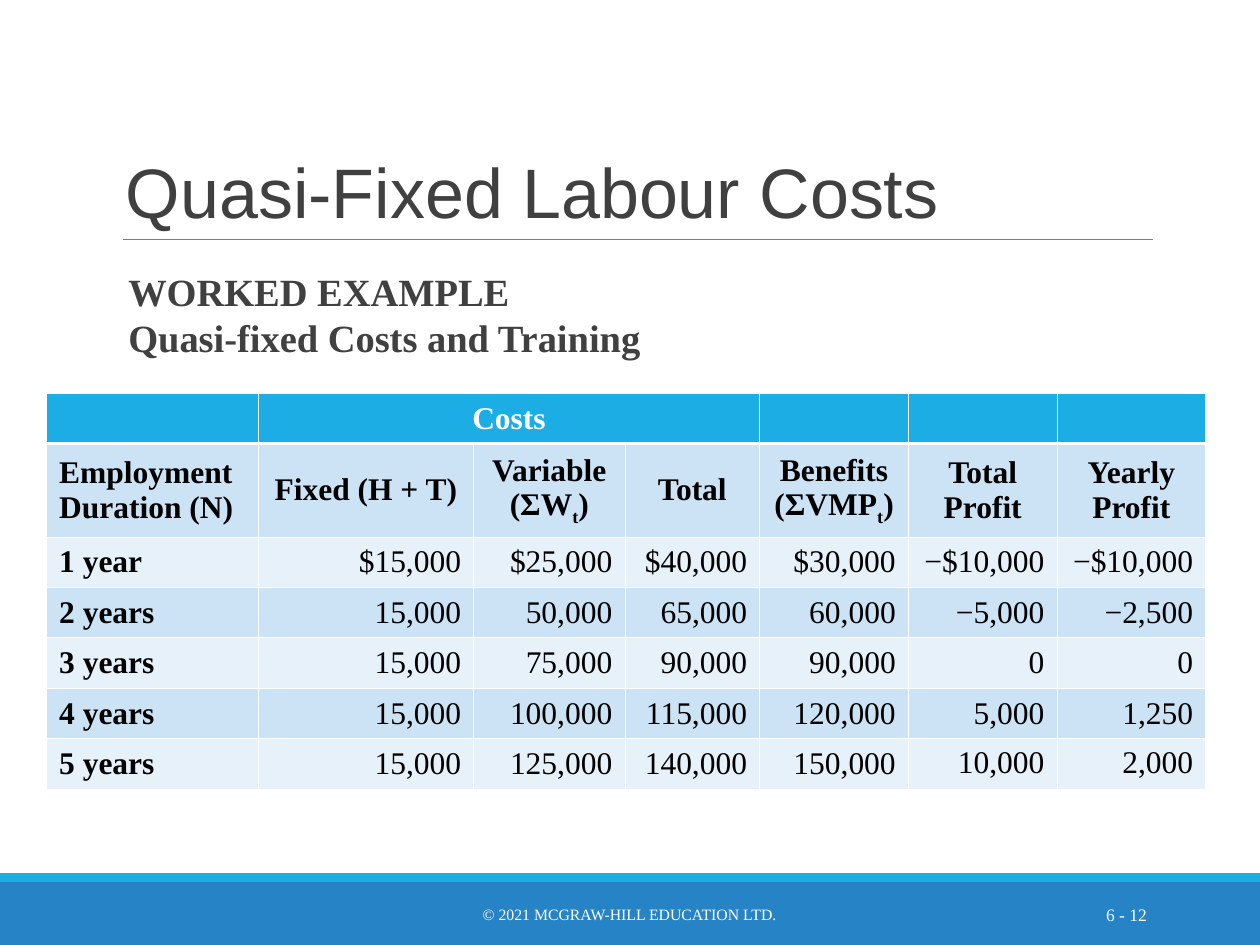
import pptx
import pptx.util
import pptx.dml.color
import pptx.enum.shapes
import pptx.enum.text
import pptx.oxml
import pptx.oxml.ns
import lxml.etree

Inches = pptx.util.Inches
Pt = pptx.util.Pt
RGB = pptx.dml.color.RGBColor
ALIGN = pptx.enum.text.PP_ALIGN
ANCHOR = pptx.enum.text.MSO_ANCHOR

WHITE = RGB(0xFF, 0xFF, 0xFF)
BLACK = RGB(0, 0, 0)
DARK = RGB(0x40, 0x40, 0x40)
GREY = RGB(0x7F, 0x7F, 0x7F)
BLUE = RGB(0x26, 0x83, 0xC6)
CYAN = RGB(0x1C, 0xAD, 0xE4)
PALE = RGB(0xCC, 0xE3, 0xF5)
FAINT = RGB(0xE7, 0xF1, 0xFA)
SERIF = "Times New Roman"

COLS = [1.68, 1.71, 1.2, 1.07, 1.18, 1.18, 1.18]
ROWS = [0.4, 0.74] + [0.4] * 5
# Text after each "_" is one subscript letter.
CELLS = [
    ["", "Costs", "", "", "", "", ""],
    ["Employment Duration (N)", "Fixed (H + T)", "Variable (ΣW_t)", "Total",
     "Benefits (ΣVMP_t)", "Total Profit", "Yearly Profit"],
    ["1 year", "$15,000", "$25,000", "$40,000", "$30,000", "−$10,000", "−$10,000"],
    ["2 years", "15,000", "50,000", "65,000", "60,000", "−5,000", "−2,500"],
    ["3 years", "15,000", "75,000", "90,000", "90,000", "0", "0"],
    ["4 years", "15,000", "100,000", "115,000", "120,000", "5,000", "1,250"],
    ["5 years", "15,000", "125,000", "140,000", "150,000", "10,000", "2,000"],
]


def style(para, size, color, bold=False, face=SERIF):
    for run in para.runs:
        run.font.size = Pt(size)
        run.font.name = face
        run.font.bold = bold
        run.font.color.rgb = color


def add_text(slide, box, text, size, color, anchor=ANCHOR.TOP,
             align=ALIGN.LEFT, bold=False, face=SERIF):
    frame = slide.shapes.add_textbox(*map(Inches, box)).text_frame
    frame.word_wrap = True
    frame.vertical_anchor = anchor
    para = frame.paragraphs[0]
    para.text = text
    para.alignment = align
    style(para, size, color, bold, face)
    return para


def add_band(slide, box, color):
    band = slide.shapes.add_shape(
        pptx.enum.shapes.MSO_SHAPE.RECTANGLE, *map(Inches, box))
    band.shadow.inherit = False
    band.fill.solid()
    band.fill.fore_color.rgb = color
    band.line.fill.background()


def add_title(slide, box):
    left, top, width, height = box
    base = Inches(top + height)
    rule = slide.shapes.add_connector(
        pptx.enum.shapes.MSO_CONNECTOR.STRAIGHT,
        Inches(left + 0.08), base, Inches(left + width), base)
    rule.line.color.rgb = GREY
    rule.line.width = Pt(0.5)
    lxml.etree.SubElement(rule._element.spPr, pptx.oxml.ns.qn("a:effectLst"))
    para = add_text(slide, box, "Quasi-Fixed Labour Costs", 40, DARK,
                    ANCHOR.BOTTOM, face="Arial")
    para.line_spacing = 0.85


def add_footer(slide, box):
    left, top, width, height = box
    add_band(slide, (left, top + 0.07, width, height - 0.07), BLUE)
    add_band(slide, (left, top, width, 0.07), CYAN)
    add_text(slide, (left + 3.02, top + 0.13, 3.95, 0.4),
             "© 2021 MCGRAW-HILL EDUCATION LTD.", 9, WHITE,
             ANCHOR.MIDDLE, ALIGN.CENTER)
    add_text(slide, (left + 8.12, top + 0.13, 1.08, 0.4), "6 - 12", 10, WHITE,
             ANCHOR.MIDDLE, ALIGN.RIGHT)


def set_edges(cell, row):
    """Draw white cell borders, heavier between the first two rows."""
    heavy = {0: "B", 1: "T"}.get(row)
    for place, side in enumerate("LRTB"):
        width = Pt(1.47 if side == heavy else 0.45)
        edge = pptx.oxml.parse_xml(
            f'<a:ln{side} {pptx.oxml.ns.nsdecls("a")} w="{int(width)}">'
            f'<a:solidFill><a:srgbClr val="{WHITE}"/></a:solidFill></a:ln{side}>')
        cell._tc.get_or_add_tcPr().insert(place, edge)


def fill_cell(cell, text, row, col):
    cell.fill.solid()
    cell.fill.fore_color.rgb = CYAN if row == 0 else PALE if row % 2 else FAINT
    set_edges(cell, row)
    last = row == len(ROWS) - 1 and col >= len(COLS) - 2
    cell.vertical_anchor = ANCHOR.TOP if last else ANCHOR.MIDDLE
    if row == 0:
        cell.margin_top = cell.margin_bottom = Inches(0.03)
    if not text:
        return
    para = cell.text_frame.paragraphs[0]
    stem, mark, tail = text.partition("_")
    for part in filter(None, [stem, tail[:1], tail[1:]]):
        para.add_run().text = part
    if mark:
        para.runs[1].font._element.set("baseline", "-25000")
    if col == 0:
        para.alignment = ALIGN.LEFT
    else:
        para.alignment = ALIGN.CENTER if row < 2 else ALIGN.RIGHT
    style(para, 18, WHITE if row == 0 else BLACK, row < 2 or col == 0)


def add_costs(slide, box):
    table = slide.shapes.add_table(
        len(ROWS), len(COLS), *map(Inches, box)).table
    for col, width in zip(table.columns, COLS):
        col.width = Inches(width)
    for row, height in zip(table.rows, ROWS):
        row.height = Inches(height)
    table.cell(0, 1).merge(table.cell(0, 3))
    for row, line in enumerate(CELLS):
        for col, text in enumerate(line):
            fill_cell(table.cell(row, col), text, row, col)


def main():
    deck = pptx.Presentation()
    deck.slide_width, deck.slide_height = Inches(10), Inches(7.5)
    slide = deck.slides.add_slide(deck.slide_layouts[6])
    add_footer(slide, (0, 6.93, 10, 0.57))
    add_title(slide, (0.9, 0.31, 8.25, 1.59))
    add_costs(slide, (0.37, 3.12, sum(COLS), sum(ROWS)))
    add_text(slide, (0.92, 2.08, 5, 0.84),
             "WORKED EXAMPLE\vQuasi-fixed Costs and Training", 22, DARK, bold=True)
    deck.save("out.pptx")


if __name__ == "__main__":
    main()
